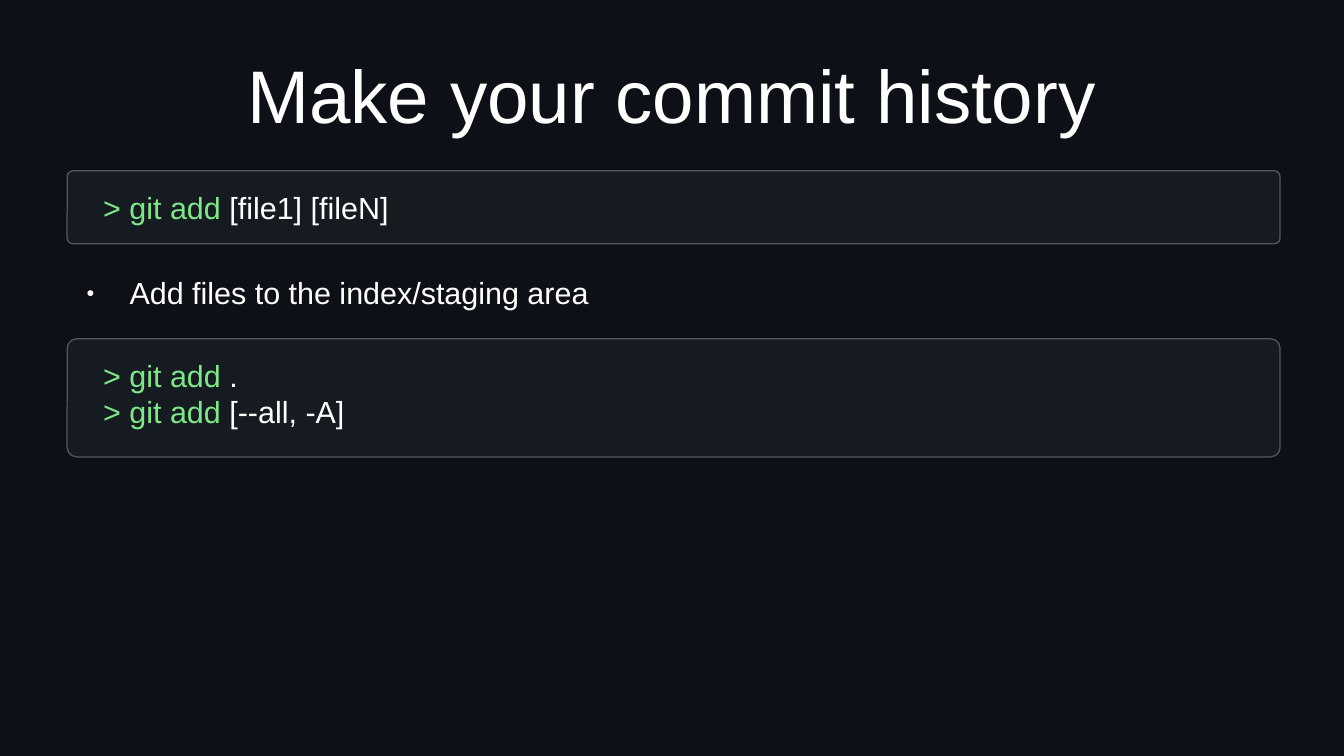
from dataclasses import dataclass

from lxml import etree
from pptx import Presentation
from pptx import util as u
from pptx.dml.color import RGBColor
from pptx.enum import shapes, text
from pptx.oxml.ns import qn


@dataclass(frozen=True)
class Theme:
    font: str = "Arial"
    background: RGBColor = RGBColor(0x0D, 0x11, 0x17)
    panel: RGBColor = RGBColor(0x16, 0x1B, 0x22)
    border: RGBColor = RGBColor(0x53, 0x59, 0x60)
    command: RGBColor = RGBColor(0x7E, 0xE7, 0x87)
    plain: RGBColor = RGBColor(0xFF, 0xFF, 0xFF)
    title_size: int = 44
    body_size: int = 18


@dataclass(frozen=True)
class Terminal:
    top: float
    height: float
    text_height: float
    arguments: tuple[str, ...]


THEME = Theme()
LEFT = 1.4
PANEL_WIDTH = 25.27
TEXT_WIDTH = 25.2
TERMINALS = (
    Terminal(3.56, 1.52, 0.97, ("[file1] [fileN]",)),
    Terminal(7.06, 2.46, 2.39, (".", "[--all, -A]")),
)


def add_span(para, words: str, color: RGBColor, size: int = THEME.body_size) -> None:
    span = para.add_run()
    span.text = words
    span.font.name = THEME.font
    span.font.size = u.Pt(size)
    span.font.color.rgb = color


def clear_margins(frame) -> None:
    frame.margin_left = frame.margin_right = 0
    frame.margin_top = frame.margin_bottom = 0


def add_title(page, words: str) -> None:
    title = page.shapes.title
    title.left, title.top = u.Cm(LEFT), u.Cm(0.64)
    title.width, title.height = u.Cm(TEXT_WIDTH), u.Cm(2.64)
    frame = title.text_frame
    clear_margins(frame)
    frame.vertical_anchor = text.MSO_ANCHOR.MIDDLE
    para = frame.paragraphs[0]
    para.alignment = text.PP_ALIGN.CENTER
    add_span(para, words, THEME.plain, THEME.title_size)


def add_terminal(page, terminal: Terminal) -> None:
    panel = page.shapes.add_shape(
        shapes.MSO_SHAPE.ROUNDED_RECTANGLE,
        u.Cm(LEFT), u.Cm(terminal.top), u.Cm(PANEL_WIDTH), u.Cm(terminal.height),
    )
    panel.adjustments[0] = 0.08
    panel.shadow.inherit = False
    panel.fill.solid()
    panel.fill.fore_color.rgb = THEME.panel
    panel.line.color.rgb = THEME.border
    panel.line.width = u.Pt(0)

    box = page.shapes.add_textbox(
        u.Cm(LEFT + 0.5), u.Cm(terminal.top + 0.25),
        u.Cm(PANEL_WIDTH - 0.5), u.Cm(terminal.text_height),
    )
    frame = box.text_frame
    frame.word_wrap = True
    for index, argument in enumerate(terminal.arguments):
        para = frame.add_paragraph() if index else frame.paragraphs[0]
        add_span(para, "> git add ", THEME.command)
        add_span(para, argument, THEME.plain)


def add_bullet(page, words: str) -> None:
    box = page.shapes.add_textbox(u.Cm(1.5), u.Cm(5.72), u.Cm(TEXT_WIDTH), u.Cm(8.89))
    frame = box.text_frame
    frame.word_wrap = True
    clear_margins(frame)
    para = frame.paragraphs[0]
    properties = para._p.get_or_add_pPr()
    properties.set("marL", str(u.Cm(1.2)))
    properties.set("indent", str(u.Cm(-0.9)))
    color = etree.SubElement(properties, qn("a:buClr"))
    etree.SubElement(color, qn("a:srgbClr"), val=str(THEME.plain))
    etree.SubElement(properties, qn("a:buSzPct"), val="45000")
    etree.SubElement(properties, qn("a:buFont"), typeface=THEME.font)
    etree.SubElement(properties, qn("a:buChar"), char="●")
    add_span(para, words, THEME.plain)


def main() -> None:
    deck = Presentation()
    deck.slide_width, deck.slide_height = u.Cm(28), u.Cm(15.75)
    page = deck.slides.add_slide(deck.slide_layouts.get_by_name("Title Only"))
    page.background.fill.solid()
    page.background.fill.fore_color.rgb = THEME.background
    add_title(page, "Make your commit history")
    for terminal in TERMINALS:
        add_terminal(page, terminal)
    add_bullet(page, "Add files to the index/staging area")
    deck.save("out.pptx")


if __name__ == "__main__":
    main()
